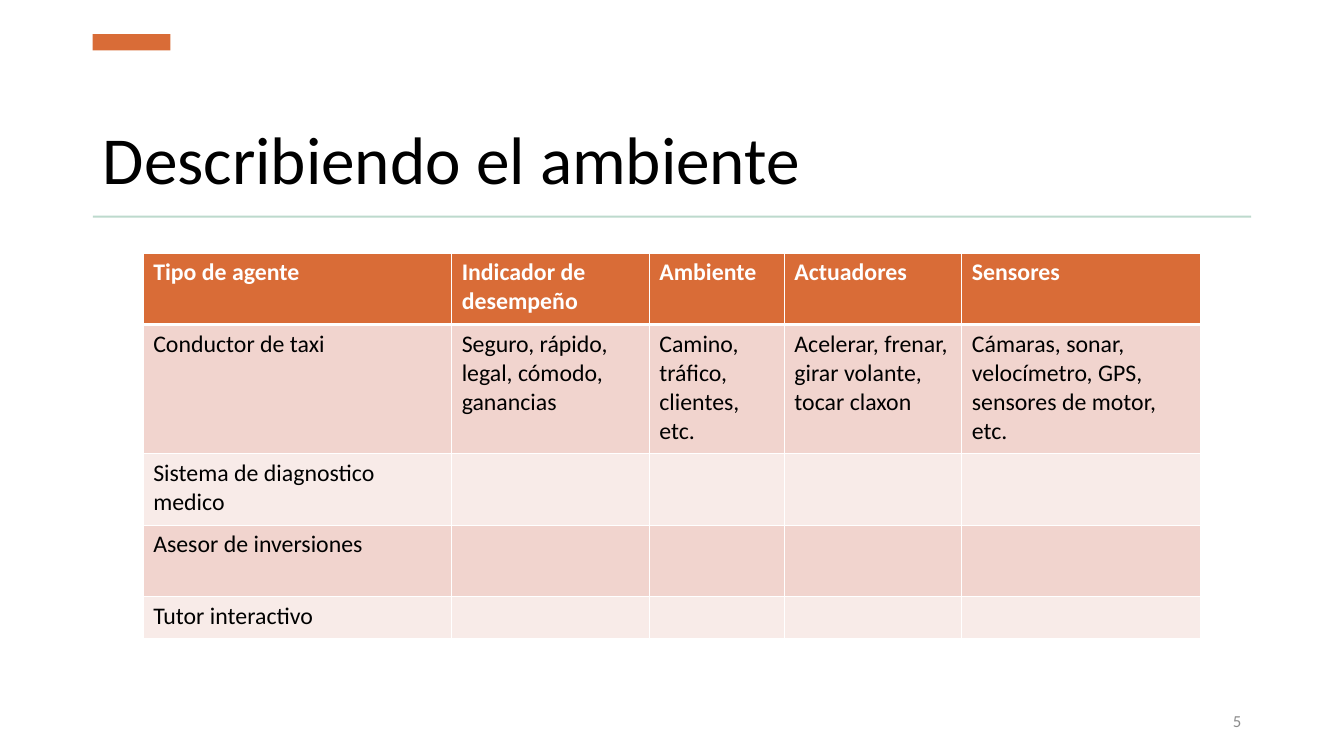
"""Build a slide with a table that describes agents and their environments."""
from dataclasses import dataclass

from lxml import etree
from pptx import Presentation
from pptx.dml.color import RGBColor
from pptx.enum.shapes import MSO_SHAPE
from pptx.enum.text import MSO_ANCHOR, PP_ALIGN
from pptx.oxml.ns import qn
from pptx.util import Inches, Pt

RECT = MSO_SHAPE.RECTANGLE
LOW, MID = MSO_ANCHOR.BOTTOM, MSO_ANCHOR.MIDDLE
LEFT, RIGHT = PP_ALIGN.LEFT, PP_ALIGN.RIGHT

TITLE = "Describiendo el ambiente"
PAGE = "5"
HEAD = ["Tipo de agente", "Indicador de desempeño", "Ambiente", "Actuadores", "Sensores"]
AGENTS = [
    ["Conductor de taxi", "Seguro, rápido, legal, cómodo, ganancias",
     "Camino, tráfico, clientes, etc.",
     "Acelerar, frenar, girar volante, tocar claxon",
     "Cámaras, sonar, velocímetro, GPS, sensores de motor, etc."],
    ["Sistema de diagnostico medico"],
    ["Asesor de inversiones"],
    ["Tutor interactivo"],
]
COLS = [3.06, 1.96, 1.34, 1.76, 2.37]
ROWS = [0.71, 1.28, 0.71, 0.71, 0.42]
WIDE, HIGH = 13.33, 7.5
EDGE = 0.92
SPAN = WIDE - 2 * EDGE
TOP = 2.51


@dataclass(frozen=True)
class Theme:
    """Hold the colours, font and type sizes."""
    font: str = "Calibri"
    accent: str = "D96C37"
    rule: str = "BDDACD"
    bands: tuple = ("F1D4CE", "F8EBE8")
    white: str = "FFFFFF"
    ink: str = "000000"
    grey: str = "8C8C8C"
    title: int = 48
    body: int = 17
    note: int = 12
    thin: int = 1
    thick: int = 3


THEME = Theme()


def style(para, size, color, bold=False):
    """Format the runs of a paragraph."""
    for run in para.runs:
        font = run.font
        font.name, font.size, font.bold = THEME.font, Pt(size), bold
        font.color.rgb = RGBColor.from_string(color)


def paint(item, color):
    """Give an item a solid fill."""
    item.fill.solid()
    item.fill.fore_color.rgb = RGBColor.from_string(color)


def add_bar(slide, box, color):
    """Add a plain filled bar."""
    bar = slide.shapes.add_shape(RECT, *map(Inches, box))
    paint(bar, color)
    bar.line.fill.background()
    bar.shadow.inherit = False


def add_text(slide, box, text, size, color, anchor, align):
    """Add a one-line text box and return its paragraph."""
    frame = slide.shapes.add_textbox(*map(Inches, box)).text_frame
    frame.word_wrap = True
    frame.vertical_anchor = anchor
    para = frame.paragraphs[0]
    para.text, para.alignment = text, align
    style(para, size, color)
    return para


def add_edges(cell, top, low):
    """Draw white borders around a cell."""
    props = cell._tc.get_or_add_tcPr()
    widths = {"a:lnL": THEME.thin, "a:lnR": THEME.thin, "a:lnT": top, "a:lnB": low}
    for tag, width in widths.items():
        line = etree.SubElement(props, qn(tag), w=str(Pt(width)))
        fill = etree.SubElement(line, qn("a:solidFill"))
        etree.SubElement(fill, qn("a:srgbClr"), val=THEME.white)


def add_grid(slide):
    """Add the table of agents, centred on the slide."""
    wide = sum(COLS)
    box = ((WIDE - wide) / 2, TOP, wide, sum(ROWS))
    table = slide.shapes.add_table(len(ROWS), len(COLS), *map(Inches, box)).table
    for col, width in zip(table.columns, COLS):
        col.width = Inches(width)
    for r, (row, height) in enumerate(zip(table.rows, ROWS)):
        row.height = Inches(height)
        head = r == 0
        texts = HEAD if head else AGENTS[r - 1]
        fill = THEME.accent if head else THEME.bands[(r - 1) % 2]
        ink = THEME.white if head else THEME.ink
        top = THEME.thick if r == 1 else THEME.thin
        low = THEME.thick if head else THEME.thin
        for c, cell in enumerate(row.cells):
            add_edges(cell, top, low)
            paint(cell, fill)
            if c < len(texts):
                cell.text_frame.text = texts[c]
                style(cell.text_frame.paragraphs[0], THEME.body, ink, head)


def main():
    """Build and save the slide."""
    deck = Presentation()
    deck.slide_width, deck.slide_height = Inches(WIDE), Inches(HIGH)
    slide = deck.slides.add_slide(deck.slide_layouts[6])
    paint(slide.background, THEME.white)
    title = add_text(slide, (EDGE, 0.75, SPAN, 1.27), TITLE,
                     THEME.title, THEME.ink, LOW, LEFT)
    title.line_spacing = 0.9
    add_bar(slide, (EDGE, 0.34, 0.77, 0.16), THEME.accent)
    add_bar(slide, (EDGE, 2.14, SPAN, 0.02), THEME.rule)
    page = add_text(slide, (WIDE - EDGE - 2.72, 6.95, 2.72, 0.4), PAGE,
                    THEME.note, THEME.grey, MID, RIGHT)
    page.space_after = Pt(6)
    add_grid(slide)
    deck.save("out.pptx")


if __name__ == "__main__":
    main()
